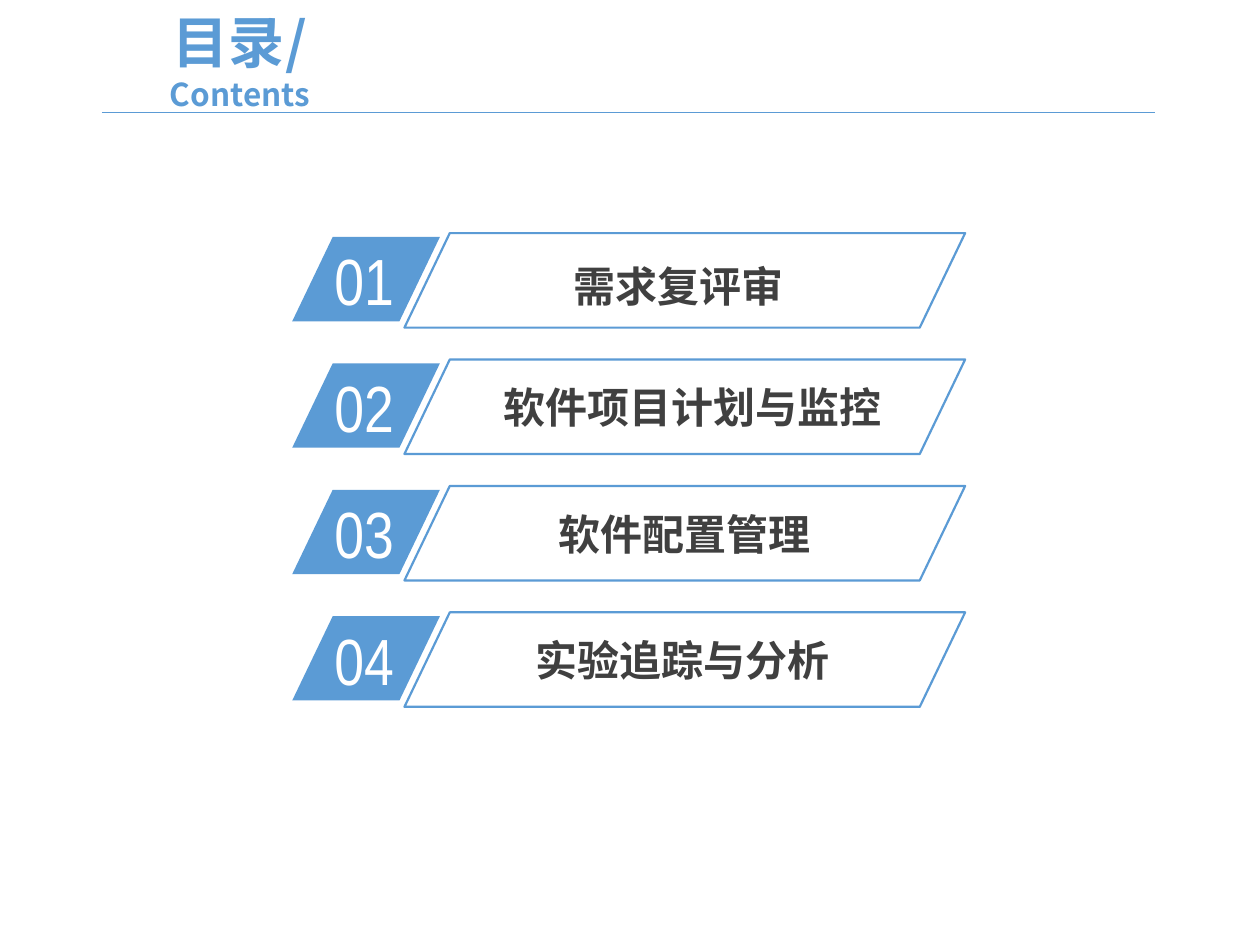
from lxml import etree
from pptx import Presentation
from pptx.dml import color
from pptx.enum import shapes, text
from pptx.oxml import ns
from pptx.util import Pt

BLUE = "5B9BD5"
GREY = "404040"
WHITE = "FFFFFF"
CJK = "Noto Sans CJK SC"
ROW_TOP = 133.2
ROW_PITCH = 72.24
ENTRIES = [
    ("需求复评审", 320.4, 142.6, 12.2),
    ("软件项目计划与监控", 280.8, 236.2, 9.1),
    ("软件配置管理", 311.8, 159.8, 9.1),
    ("实验追踪与分析", 298.8, 185, 9.1),
]


def paint(target, value):
    target.rgb = color.RGBColor.from_string(value)


def style_span(span, font, size, value, bold=False):
    span.font.name = font
    span.font.size = Pt(size)
    span.font.bold = bold
    paint(span.font.color, value)
    east = etree.SubElement(span.font._element, ns.qn("a:ea"))
    east.set("typeface", font)
    span.font._element.find(ns.qn("a:latin")).addnext(east)


def add_title(page):
    box = page.shapes.title
    box.left, box.top, box.width, box.height = Pt(48.2), Pt(15.1), Pt(177.8), Pt(38.9)
    frame = box.text_frame
    frame.text = "目录/\vContents"
    frame.auto_size = text.MSO_AUTO_SIZE.NONE
    frame.vertical_anchor = text.MSO_ANCHOR.MIDDLE
    para = frame.paragraphs[0]
    para.alignment = text.PP_ALIGN.CENTER
    for span, size in zip(para.runs, (32, 18)):
        style_span(span, CJK, size, BLUE, True)


def add_rule(page):
    rule = page.shapes.add_connector(
        shapes.MSO_CONNECTOR.STRAIGHT, Pt(58.3), Pt(64.1), Pt(660.2), Pt(64.1))
    paint(rule.line.color, BLUE)
    rule.line.width = Pt(0.5)
    etree.SubElement(rule._element.spPr, ns.qn("a:effectLst"))


def add_parallelogram(group, left, top, width, height, filled):
    shape = group.shapes.add_shape(
        shapes.MSO_SHAPE.PARALLELOGRAM, Pt(left), Pt(top), Pt(width), Pt(height))
    shape.adjustments[0] = 0.48
    shape.shadow.inherit = False
    if filled:
        shape.fill.solid()
        paint(shape.fill.fore_color, BLUE)
        shape.line.fill.background()
    else:
        shape.fill.background()
        paint(shape.line.color, BLUE)
        shape.line.width = Pt(1.25)


def add_text(group, words, left, top, width, height, **style):
    box = group.shapes.add_textbox(Pt(left), Pt(top), Pt(width), Pt(height))
    frame = box.text_frame
    frame.text = words
    frame.word_wrap = True
    frame.auto_size = text.MSO_AUTO_SIZE.SHAPE_TO_FIT_TEXT
    style_span(frame.paragraphs[0].runs[0], **style)


def add_entry(page, index, words, left, width, drop):
    top = ROW_TOP + index * ROW_PITCH
    group = page.shapes.add_group_shape()
    add_parallelogram(group, 167, top + 2.2, 84.4, 48.2, True)
    add_text(group, f"{index + 1:02}", 184, top + 0.7, 80.6, 52.6,
             font="Arial Narrow", size=37.3, value=WHITE)
    add_text(group, words, left, top + drop, width, 36,
             font=CJK, size=24, value=GREY, bold=True)
    add_parallelogram(group, 231.1, top, 320.4, 54, False)


def main():
    deck = Presentation()
    deck.slide_width, deck.slide_height = Pt(720), Pt(540)
    page = deck.slides.add_slide(deck.slide_layouts[5])
    add_title(page)
    add_rule(page)
    for index, entry in enumerate(ENTRIES):
        add_entry(page, index, *entry)
    deck.save("out.pptx")


if __name__ == "__main__":
    main()
